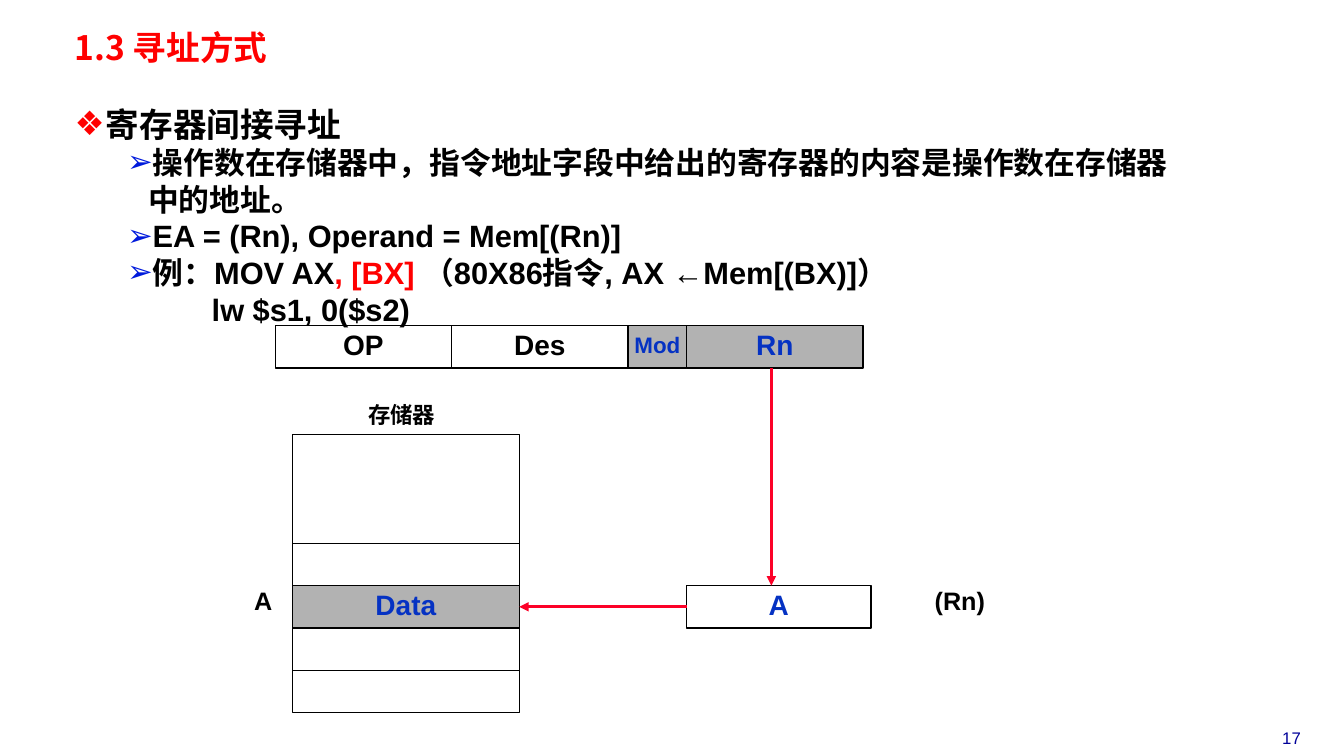
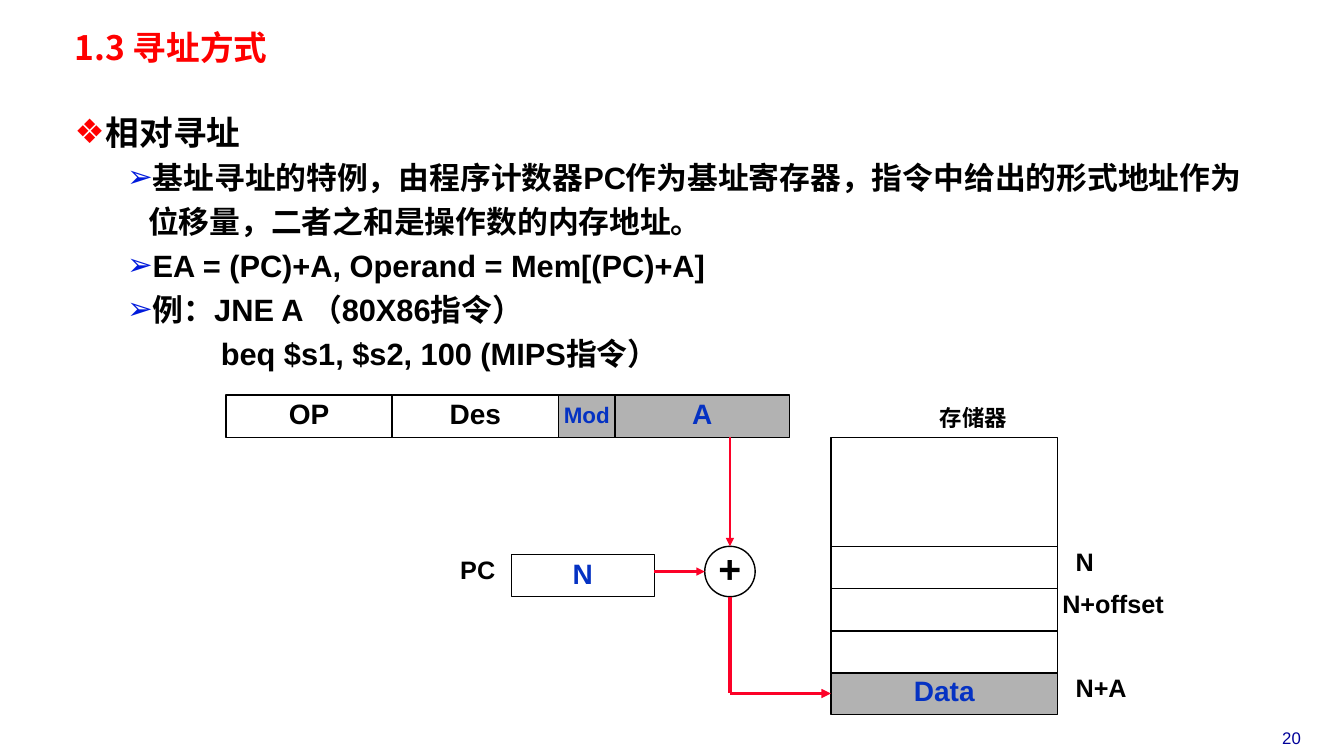
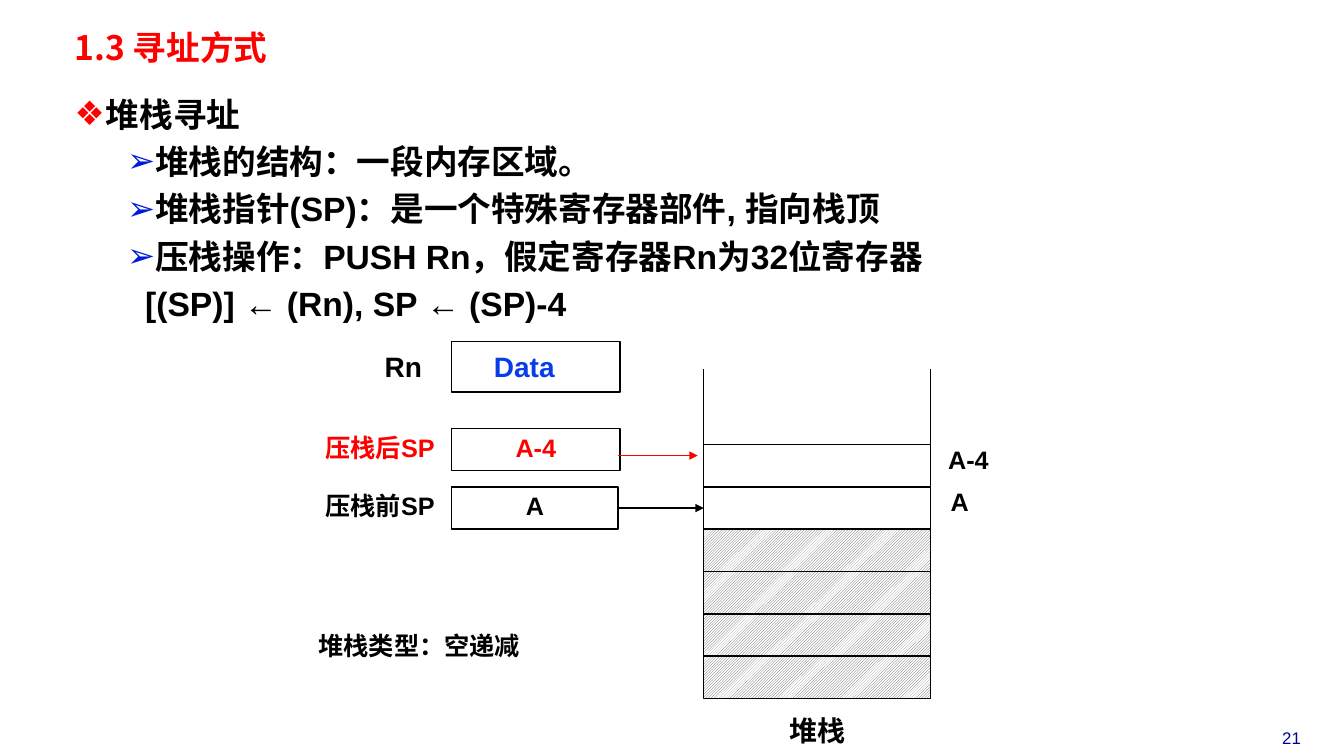
"""Build three slides on register-indirect, relative and stack addressing."""
from lxml import etree
from pptx import Presentation
from pptx.dml.color import RGBColor
from pptx.enum.dml import MSO_PATTERN
from pptx.enum.shapes import MSO_CONNECTOR, MSO_SHAPE
from pptx.enum.text import MSO_ANCHOR, MSO_AUTO_SIZE, PP_ALIGN
from pptx.oxml.ns import qn
from pptx.util import Inches, Pt

RED = RGBColor(0xFF, 0x00, 0x00)
ARROW_RED = RGBColor(0xFC, 0x01, 0x28)
BLACK = RGBColor(0x00, 0x00, 0x00)
WHITE = RGBColor(0xFF, 0xFF, 0xFF)
GRAY = RGBColor(0xB2, 0xB2, 0xB2)
HATCH_GRAY = RGBColor(0x5F, 0x5F, 0x5F)
BLUE = RGBColor(0x05, 0x32, 0xC3)
BRIGHT_BLUE = RGBColor(0x06, 0x3D, 0xE8)
BULLET_BLUE = RGBColor(0x00, 0x1A, 0xDC)
NAVY = RGBColor(0x00, 0x00, 0x99)

LATIN, CJK = "Arial", "Noto Sans CJK SC"
RECT, ELLIPSE = MSO_SHAPE.RECTANGLE, MSO_SHAPE.OVAL
STRAIGHT = MSO_CONNECTOR.STRAIGHT
LEFT, CENTER, RIGHT = PP_ALIGN.LEFT, PP_ALIGN.CENTER, PP_ALIGN.RIGHT
TOP, MIDDLE = MSO_ANCHOR.TOP, MSO_ANCHOR.MIDDLE
NO_FIT = MSO_AUTO_SIZE.NONE
HATCH = MSO_PATTERN.LIGHT_UPWARD_DIAGONAL
LEFT_SITE, RIGHT_SITE = 1, 3

ROW = 0.42
CELL_W = 2.25
HEAD_H = 1.08


def add_run(p, text, size, color, font=LATIN, bold=True):
    r = p.add_run()
    r.text = text
    r.font.size = Pt(size)
    r.font.bold = bold
    r.font.color.rgb = color
    r.font.name = font
    etree.SubElement(r.font._element, qn("a:ea")).set("typeface", CJK)


def set_line(p, size, color, text, align, bold=True):
    p.alignment = align
    p.line_spacing = Pt(size)
    add_run(p, text, size, color, bold=bold)


register_slide = {
    "number": "17",
    "body_w": 11.12, "body_h": 2.31, "size": 22,
    "head_line": 28.6, "line": 26.2, "before": 0,
    "heading": "寄存器间接寻址",
    "items": [
        (True, 0.73, [("操作数在存储器中，指令地址字段中给出的寄存器的内容是操作数在存储器中的地址。", BLACK)]),
        (True, 0.73, [("EA = (Rn), Operand = Mem[(Rn)]", BLACK)]),
        (True, 0.73, [("例：MOV AX", BLACK), (", [BX]", RED),
                      (" （80X86指令, AX ←Mem[(BX)]）", BLACK)]),
        (False, 1.36, [("lw $s1, 0($s2)", BLACK)]),
    ],
    "fields": (2.73, 3.23, [1.75, 1.75, 0.58, 1.75], "Rn"),
    "boxes": [
        (RECT, 2.9, 5.81, CELL_W, ROW, "Data", 20, BLUE, GRAY),
        (RECT, 6.81, 5.81, 1.83, ROW, "A", 20, BLUE, None),
        (RECT, 2.9, 4.31, CELL_W, HEAD_H, "", 20, BLACK, None),
    ] + [(RECT, 2.9, 5.39 + ROW * i, CELL_W, ROW, "", 20, BLACK, None) for i in (0, 2, 3)],
    "labels": [
        (8.73, 5.81, 1.58, 0.36, "(Rn)", 18, BLACK, CENTER),
        (2.9, 3.98, 2.17, 0.33, "存储器", 16, BLACK, CENTER),
        (2.4, 5.81, 0.42, 0.36, "A", 18, BLACK, CENTER),
    ],
    "lines": [
        (7.65, 3.65, 7.65, 5.81, ARROW_RED, 2.25, True, None, None),
        (6.81, 6.02, 5.15, 6.02, ARROW_RED, 2.25, True, (1, LEFT_SITE), (0, RIGHT_SITE)),
    ],
}

relative_slide = {
    "number": "20",
    "body_w": 11.82, "body_h": 2.72, "size": 22,
    "head_line": 34.3, "line": 31.4, "before": 0,
    "heading": "相对寻址",
    "items": [
        (True, 0.73, [("基址寻址的特例，由程序计数器PC作为基址寄存器，指令中给出的形式地址作为位移量，二者之和是操作数的内存地址。", BLACK)]),
        (True, 0.73, [("EA = (PC)+A, Operand = Mem[(PC)+A]", BLACK)]),
        (True, 0.73, [("例：JNE A （80X86指令）", BLACK)]),
        (False, 1.45, [("beq $s1, $s2, 100 (MIPS指令）", BLACK)]),
    ],
    "fields": (2.24, 3.92, [1.65, 1.65, 0.56, 1.73], "A"),
    "boxes": [
        (RECT, 8.24, 6.67, CELL_W, ROW, "Data", 20, BLUE, GRAY),
        (RECT, 5.07, 5.5, 1.42, ROW, "N", 20, BLUE, None),
        (ELLIPSE, 6.99, 5.42, 0.5, 0.5, "+", 28, BLACK, None),
        (RECT, 8.24, 4.34, CELL_W, HEAD_H, "", 20, BLACK, None),
    ] + [(RECT, 8.24, 5.42 + ROW * i, CELL_W, ROW, "", 20, BLACK, None) for i in range(3)],
    "labels": [
        (3.74, 5.5, 1.27, 0.36, "PC", 18, BLACK, RIGHT),
        (8.57, 4, 2.17, 0.33, "存储器", 16, BLACK, CENTER),
        (10.57, 5.42, 0.67, 0.36, "N", 18, BLACK, LEFT),
        (10.39, 5.84, 1.3, 0.36, "N+offset", 18, BLACK, CENTER),
        (10.57, 6.67, 1, 0.36, "N+A", 18, BLACK, LEFT),
    ],
    "lines": [
        (7.24, 4.34, 7.24, 5.42, ARROW_RED, 1.5, True, None, None),
        (6.49, 5.67, 6.99, 5.67, ARROW_RED, 1.5, True, None, None),
        (7.24, 5.92, 7.24, 6.88, ARROW_RED, 2.25, False, None, None),
        (7.24, 6.88, 8.24, 6.88, ARROW_RED, 2.25, True, None, (0, LEFT_SITE)),
    ],
}

stack_slide = {
    "number": "21",
    "body_w": 11.98, "body_h": 2.38, "size": 24,
    "head_line": 21.4, "line": 24.3, "before": 9.6,
    "heading": "堆栈寻址",
    "items": [
        (True, 0.73, [("堆栈的结构：一段内存区域。", BLACK)]),
        (True, 0.73, [("堆栈指针(SP)：是一个特殊寄存器部件, 指向栈顶", BLACK)]),
        (True, 0.73, [("压栈操作：PUSH Rn，假定寄存器Rn为32位寄存器", BLACK)]),
        (False, 0.7, [("[(SP)] ← (Rn), SP ← (SP)-4", BLACK)]),
    ],
    "fields": None,
    "boxes": [
        (RECT, 4.48, 4.83, 1.65, ROW, "A", 18, BLACK, None),
        (RECT, 6.98, 4.83, CELL_W, ROW, "", 18, BLACK, None),
        (RECT, 6.98, 4.41, CELL_W, ROW, "", 18, BLACK, None),
        (RECT, 4.48, 3.39, 1.67, 0.5, "", 20, BLACK, None),
        (RECT, 4.48, 4.25, 1.67, ROW, "A-4", 18, RED, None),
    ] + [(RECT, 6.98, 5.25 + ROW * i, CELL_W, ROW, "", 18, BLACK, HATCH) for i in range(4)],
    "labels": [
        (3.54, 3.47, 0.92, 0.39, "Rn", 20, BLACK, CENTER),
        (4.8, 3.47, 1.18, 0.39, "Data", 20, BRIGHT_BLUE, LEFT),
        (3.06, 4.29, 1.42, 0.36, "压栈后SP", 18, RED, CENTER),
        (3.06, 4.87, 1.42, 0.36, "压栈前SP", 18, BLACK, CENTER),
        (9.23, 4.41, 0.75, 0.36, "A-4", 18, BLACK, CENTER),
        (9.23, 4.83, 0.58, 0.36, "A", 18, BLACK, CENTER),
        (3.06, 6.25, 2.76, 0.36, "堆栈类型：空递减", 18, BLACK, LEFT),
        (6.98, 7.08, CELL_W, 0.39, "堆栈", 20, BLACK, CENTER),
    ],
    "lines": [
        (6.13, 5.04, 6.98, 5.04, BLACK, 1, True, (0, RIGHT_SITE), (1, LEFT_SITE)),
        (6.13, 4.52, 6.92, 4.52, RED, 1, True, None, None),
        (6.98, 4.83, 6.98, 3.66, BLACK, 1, False, None, None),
        (9.23, 4.83, 9.23, 3.66, BLACK, 1, False, None, None),
    ],
}

prs = Presentation()
prs.slide_width, prs.slide_height = Inches(13.33), Inches(7.5)

for page in (register_slide, relative_slide, stack_slide):
    s = prs.slides.add_slide(prs.slide_layouts[1])
    title, body = s.shapes.title, s.placeholders[1]
    frames = [(title, 0.28, 7.67, 0.41), (body, 1, page["body_w"], page["body_h"])]
    for sp, y, w, h in frames:
        sp.left, sp.top, sp.width, sp.height = Inches(0.67), Inches(y), Inches(w), Inches(h)
        tf = sp.text_frame
        tf.word_wrap = True
        tf.auto_size = NO_FIT
        tf.vertical_anchor = TOP
        tf.margin_left = tf.margin_right = Inches(0.07)
        tf.margin_top = tf.margin_bottom = Inches(0.03)

    p = title.text_frame.paragraphs[0]
    p.alignment = LEFT
    p.line_spacing = Pt(26)
    add_run(p, "1.3 寻址方式", 24, RED, CJK)

    heading = (True, 0.31, [(page["heading"], BLACK)])
    tf = body.text_frame
    for i, (bulleted, indent, runs) in enumerate([heading] + page["items"]):
        p = tf.add_paragraph() if i else tf.paragraphs[0]
        p.level = 1 if i else 0
        hang = (0.21 if i else 0.31) if bulleted else 0
        pPr = p._p.get_or_add_pPr()
        pPr.set("marL", str(Inches(indent)))
        pPr.set("indent", str(-Inches(hang)))
        if bulleted:
            bu_clr = etree.SubElement(pPr, qn("a:buClr"))
            etree.SubElement(bu_clr, qn("a:srgbClr")).set("val", str(BULLET_BLUE if i else RED))
            etree.SubElement(pPr, qn("a:buChar")).set("char", "➢" if i else "❖")
        else:
            etree.SubElement(pPr, qn("a:buNone"))
        p.line_spacing = Pt(page["line"] if i else page["head_line"])
        p.space_before = Pt(page["before"] if i else 0)
        for text, color in runs:
            add_run(p, text, page["size"] if i else 24, color)

    boxes = list(page["boxes"])
    if page["fields"]:
        x, y, widths, operand = page["fields"]
        fields = [("OP", 20, BLACK, None), ("Des", 20, BLACK, None),
                  ("Mod", 16, BLUE, GRAY), (operand, 20, BLUE, GRAY)]
        for w, field in zip(widths, fields):
            boxes.append((RECT, x, y, w, ROW, *field))
            x += w

    shapes = []
    for kind, x, y, w, h, text, size, color, fill in boxes:
        sp = s.shapes.add_shape(kind, Inches(x), Inches(y), Inches(w), Inches(h))
        sp.shadow.inherit = False
        sp.line.color.rgb = BLACK
        sp.line.width = Pt(1)
        if fill is None:
            sp.fill.background()
        elif fill == HATCH:
            sp.fill.patterned()
            sp.fill.pattern = HATCH
            sp.fill.fore_color.rgb = HATCH_GRAY
            sp.fill.back_color.rgb = WHITE
        else:
            sp.fill.solid()
            sp.fill.fore_color.rgb = fill
        if text:
            tf = sp.text_frame
            tf.word_wrap = False
            tf.vertical_anchor = MIDDLE
            set_line(tf.paragraphs[0], size, color, text, CENTER)
        shapes.append(sp)

    page_number = (12.34, 7.2, 0.94, 0.3, page["number"], 12, NAVY, CENTER)
    for label in page["labels"] + [page_number]:
        x, y, w, h, text, size, color, align = label
        sp = s.shapes.add_textbox(Inches(x), Inches(y), Inches(w), Inches(h))
        tf = sp.text_frame
        tf.word_wrap = True
        set_line(tf.paragraphs[0], size, color, text, align, bold=label != page_number)

    for x1, y1, x2, y2, color, width, arrow, begin, end in page["lines"]:
        line = s.shapes.add_connector(STRAIGHT, Inches(x1), Inches(y1), Inches(x2), Inches(y2))
        if begin:
            line.begin_connect(shapes[begin[0]], begin[1])
        if end:
            line.end_connect(shapes[end[0]], end[1])
        line.line.color.rgb = color
        line.line.width = Pt(width)
        if arrow:
            ln = line.line._get_or_add_ln()
            etree.SubElement(ln, qn("a:tailEnd")).set("type", "triangle")
        etree.SubElement(line._element.spPr, qn("a:effectLst"))

prs.save("out.pptx")
